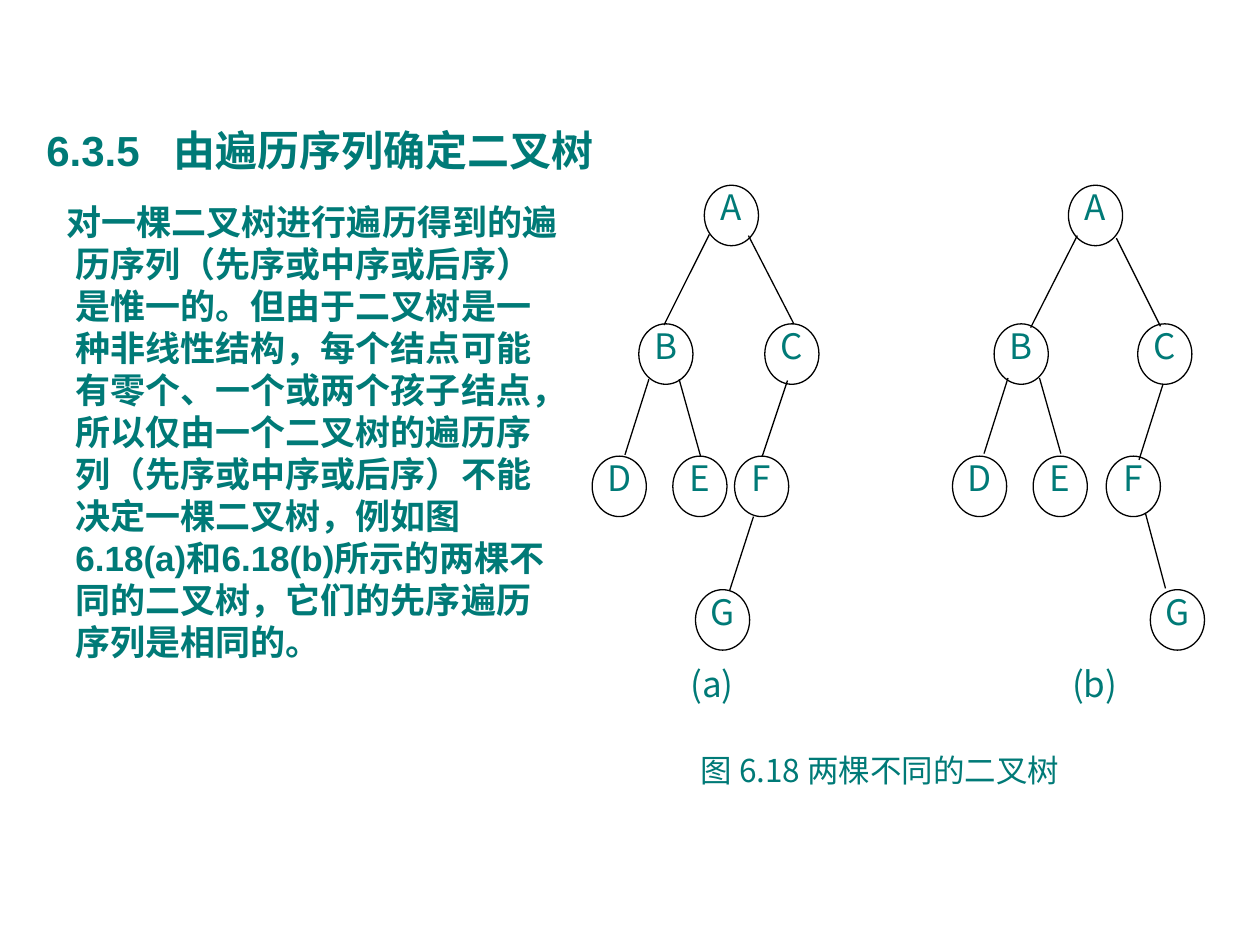
from lxml import etree
from pptx import Presentation
from pptx.dml.color import RGBColor
from pptx.enum.shapes import MSO_CONNECTOR, MSO_SHAPE
from pptx.enum.text import MSO_ANCHOR, PP_ALIGN
from pptx.oxml.ns import qn
from pptx.util import Emu, Pt

ELLIPSE = MSO_SHAPE.OVAL
STRAIGHT = MSO_CONNECTOR.STRAIGHT
TOP, MIDDLE = MSO_ANCHOR.TOP, MSO_ANCHOR.MIDDLE
LEFT, CENTER = PP_ALIGN.LEFT, PP_ALIGN.CENTER

EMU_PER_PX = 9144
COLORS = {"text": "007A77", "node": "FFFFFF", "line": "000000"}
HEADING_FONT = "Arial"
CJK_FONT = "Noto Sans CJK SC"
NODE_WIDTH, NODE_HEIGHT = 43, 48
LEVEL_TOPS = (0, 110, 215, 321)
NODE_LEVELS = {"A": 0, "B": 1, "C": 1, "D": 2, "E": 2, "F": 2, "G": 3}

TITLE = "6.3.5\t由遍历序列确定二叉树"
BODY = (
    "对一棵二叉树进行遍历得到的遍历序列（先序或中序或后序）是惟一的。"
    "但由于二叉树是一种非线性结构，每个结点可能有零个、一个或两个孩子结点，"
    "所以仅由一个二叉树的遍历序列（先序或中序或后序）不能决定一棵二叉树，"
    "例如图6.18(a)和6.18(b)所示的两棵不同的二叉树，它们的先序遍历序列是相同的。"
)
CAPTION = "图 6.18 两棵不同的二叉树"

TREE_A = {
    "label": ("(a)", 78),
    "nodes": {"A": 89, "B": 37, "C": 137, "D": 0, "E": 64, "F": 113, "G": 82},
    "edges": [
        (93, 39, 57, 111), (124, 40, 160, 110), (45, 154, 26, 214),
        (69, 154, 86, 215), (155, 155, 135, 215), (128, 263, 109, 322),
    ],
}
TREE_B = {
    "label": ("(b)", 95),
    "nodes": {"A": 92, "B": 33, "C": 147, "D": 0, "E": 64, "F": 122, "G": 157},
    "edges": [
        (99, 40, 62, 113), (130, 42, 165, 112), (44, 153, 25, 213),
        (69, 153, 86, 213), (167, 158, 148, 218), (153, 260, 169, 320),
    ],
}


def px(length):
    return Emu(length * EMU_PER_PX)


def color(name):
    return RGBColor.from_string(COLORS[name])


def write_text(shape, text, size, font=CJK_FONT, bold=False, align=LEFT,
               anchor=TOP, insets=(0, 0)):
    frame = shape.text_frame
    frame.word_wrap = True
    frame.vertical_anchor = anchor
    frame.margin_left = frame.margin_right = px(insets[0])
    frame.margin_top = frame.margin_bottom = px(insets[1])
    frame.text = text
    paragraph = frame.paragraphs[0]
    paragraph.alignment = align
    for run in paragraph.runs:
        run.font.name = font
        run.font.size = Pt(size)
        run.font.bold = bold
        run.font.color.rgb = color("text")
        east_asian = etree.SubElement(run.font._element, qn("a:ea"))
        east_asian.set("typeface", CJK_FONT)
    return paragraph


def add_text(slide, box, text, size, **style):
    shape = slide.shapes.add_textbox(*map(px, box))
    return write_text(shape, text, size, **style)


def add_title(slide, box):
    paragraph = add_text(slide, box, TITLE, 24, font=HEADING_FONT, bold=True,
                         anchor=MIDDLE, insets=(10, 5))
    properties = paragraph._p.get_or_add_pPr()
    tabs = etree.SubElement(properties, qn("a:tabLst"))
    etree.SubElement(tabs, qn("a:tab"), pos=str(px(101)), algn="l")


def add_body(slide, box):
    paragraph = add_text(slide, box, BODY, 20, font=HEADING_FONT, bold=True,
                         insets=(10, 5))
    paragraph.line_spacing = Pt(24)
    properties = paragraph._p.get_or_add_pPr()
    properties.set("marL", str(px(38)))
    properties.set("indent", str(px(-7)))


def add_node(slide, left, top, name):
    node = slide.shapes.add_shape(
        ELLIPSE, px(left), px(top), px(NODE_WIDTH), px(NODE_HEIGHT))
    node.shadow.inherit = False
    node.fill.solid()
    node.fill.fore_color.rgb = color("node")
    node.line.color.rgb = color("line")
    node.line.width = Pt(0.75)
    write_text(node, name, 20, align=CENTER).line_spacing = 0.8


def add_edge(slide, *ends):
    edge = slide.shapes.add_connector(STRAIGHT, *map(px, ends))
    edge.line.color.rgb = color("line")
    edge.line.width = Pt(0.75)
    etree.SubElement(edge._element.spPr, qn("a:effectLst"))


def add_tree(slide, left, top, tree):
    for name, offset in tree["nodes"].items():
        add_node(slide, left + offset, top + LEVEL_TOPS[NODE_LEVELS[name]], name)
    for start_x, start_y, end_x, end_y in tree["edges"]:
        add_edge(slide, left + start_x, top + start_y, left + end_x, top + end_y)
    label, offset = tree["label"]
    add_text(slide, (left + offset, top + 379, 54, 51), label, 20)


def main():
    presentation = Presentation()
    presentation.slide_width = px(1000)
    presentation.slide_height = px(750)
    slide = presentation.slides.add_slide(presentation.slide_layouts[6])
    add_title(slide, (27, 91, 931, 55))
    add_body(slide, (12, 154, 441, 525))
    add_tree(slide, 470, 147, TREE_A)
    add_tree(slide, 756, 147, TREE_B)
    add_text(slide, (556, 596, 332, 53), CAPTION, 18)
    presentation.save("out.pptx")


if __name__ == "__main__":
    main()
